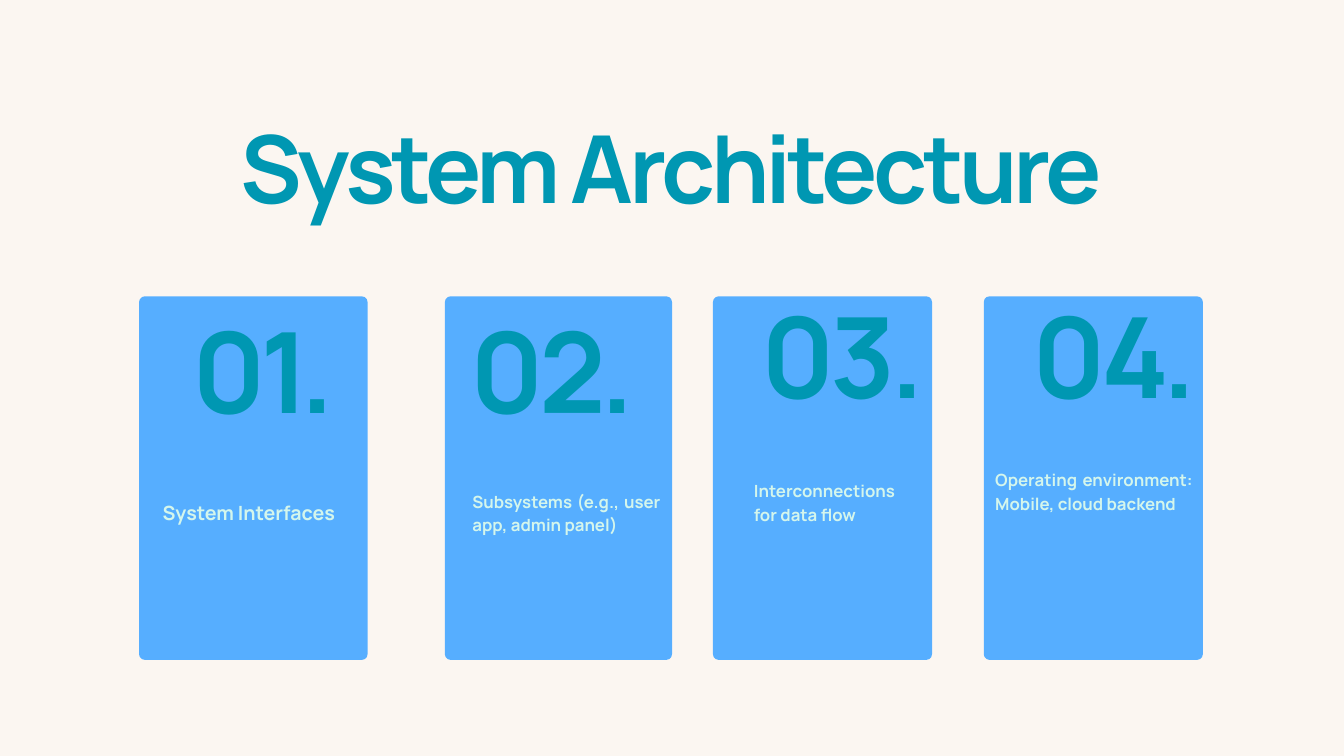
from dataclasses import dataclass

from pptx import Presentation
from pptx import util as u
from pptx.dml import color
from pptx.enum import shapes, text


@dataclass(frozen=True)
class Theme:
    font: str = "Manrope"
    background: str = "FBF6F1"
    card: str = "56AEFF"
    accent: str = "0097B2"
    label: str = "D4F6EC"
    title_size: float = 100.4
    number_size: float = 120
    large_label_size: float = 21
    label_size: float = 18
    radius: float = 0.085


THEME = Theme()
CARD_TOP, CARD_HEIGHT = 4.41, 5.41
NUMBER_WIDTH, NUMBER_HEIGHT = 2.65, 1.64

# Card left and width, number and its offset, label with its offset, width and size
CARDS = [
    (2.07, 3.40, "01.", (0.52, 0.58),
     "System Interfaces", (0.35, 2.98), 4.48, THEME.large_label_size),
    (6.62, 3.38, "02.", (0.28, 0.58),
     "Subsystems (e.g., user app, admin panel)", (0.41, 2.85), 2.80, THEME.label_size),
    (10.61, 3.26, "03.", (0.61, 0.36),
     "Interconnections for data flow", (0.61, 2.70), 2.35, THEME.label_size),
    (14.64, 3.26, "04.", (0.62, 0.36),
     "Operating environment: Mobile, cloud backend", (0.17, 2.53), 2.94, THEME.label_size),
]


def rgb(value):
    return color.RGBColor.from_string(value)


def write_text(shape, content, *, size, fill, line_spacing, align, tracking=0):
    """Fill the shape with one bold paragraph; tracking is in points."""
    frame = shape.text_frame
    frame.auto_size = text.MSO_AUTO_SIZE.NONE
    frame.word_wrap = True
    frame.vertical_anchor = text.MSO_ANCHOR.TOP
    frame.margin_left = frame.margin_right = u.Inches(0)
    frame.margin_top = frame.margin_bottom = u.Inches(0)
    paragraph = frame.paragraphs[0]
    paragraph.alignment = align
    paragraph.line_spacing = u.Pt(line_spacing)
    paragraph.space_before = u.Pt(0)
    run = paragraph.add_run()
    run.text = content
    run.font.name = THEME.font
    run.font.size = u.Pt(size)
    run.font.bold = True
    run.font.color.rgb = rgb(fill)
    if tracking:
        run.font._element.set("spc", str(round(tracking * 100)))


def add_title(slide, left, top, width, height):
    title = slide.shapes.title
    title.left, title.top = u.Inches(left), u.Inches(top)
    title.width, title.height = u.Inches(width), u.Inches(height)
    write_text(title, "System Architecture", size=THEME.title_size, fill=THEME.accent,
               line_spacing=90.4, align=text.PP_ALIGN.CENTER, tracking=-4.6)


def add_card(slide, left, top, width, height, number, number_offset,
             label, label_offset, label_width, label_size):
    panel = slide.shapes.add_shape(
        shapes.MSO_SHAPE.ROUNDED_RECTANGLE,
        u.Inches(left), u.Inches(top), u.Inches(width), u.Inches(height))
    panel.adjustments[0] = THEME.radius / min(width, height)
    panel.shadow.inherit = False
    panel.fill.solid()
    panel.fill.fore_color.rgb = rgb(THEME.card)
    panel.line.fill.background()

    number_box = slide.shapes.add_textbox(
        u.Inches(left + number_offset[0]), u.Inches(top + number_offset[1]),
        u.Inches(NUMBER_WIDTH), u.Inches(NUMBER_HEIGHT))
    write_text(number_box, number, size=THEME.number_size, fill=THEME.accent,
               line_spacing=THEME.number_size * 0.9, align=text.PP_ALIGN.CENTER,
               tracking=-5.5)

    label_height = 0.41 if label_size == THEME.large_label_size else 0.69
    label_box = slide.shapes.add_textbox(
        u.Inches(left + label_offset[0]), u.Inches(top + label_offset[1]),
        u.Inches(label_width), u.Inches(label_height))
    write_text(label_box, label, size=label_size, fill=THEME.label,
               line_spacing=label_size * 1.4, align=text.PP_ALIGN.JUSTIFY)


def main():
    presentation = Presentation()
    presentation.slide_width = u.Inches(20)
    presentation.slide_height = u.Inches(11.25)
    title_only = presentation.slide_layouts[5]
    slide = presentation.slides.add_slide(title_only)
    slide.background.fill.solid()
    slide.background.fill.fore_color.rgb = rgb(THEME.background)

    add_title(slide, 2.42, 2.05, 15.15, 1.37)
    for left, width, *content in CARDS:
        add_card(slide, left, CARD_TOP, width, CARD_HEIGHT, *content)
    presentation.save("out.pptx")


if __name__ == "__main__":
    main()
